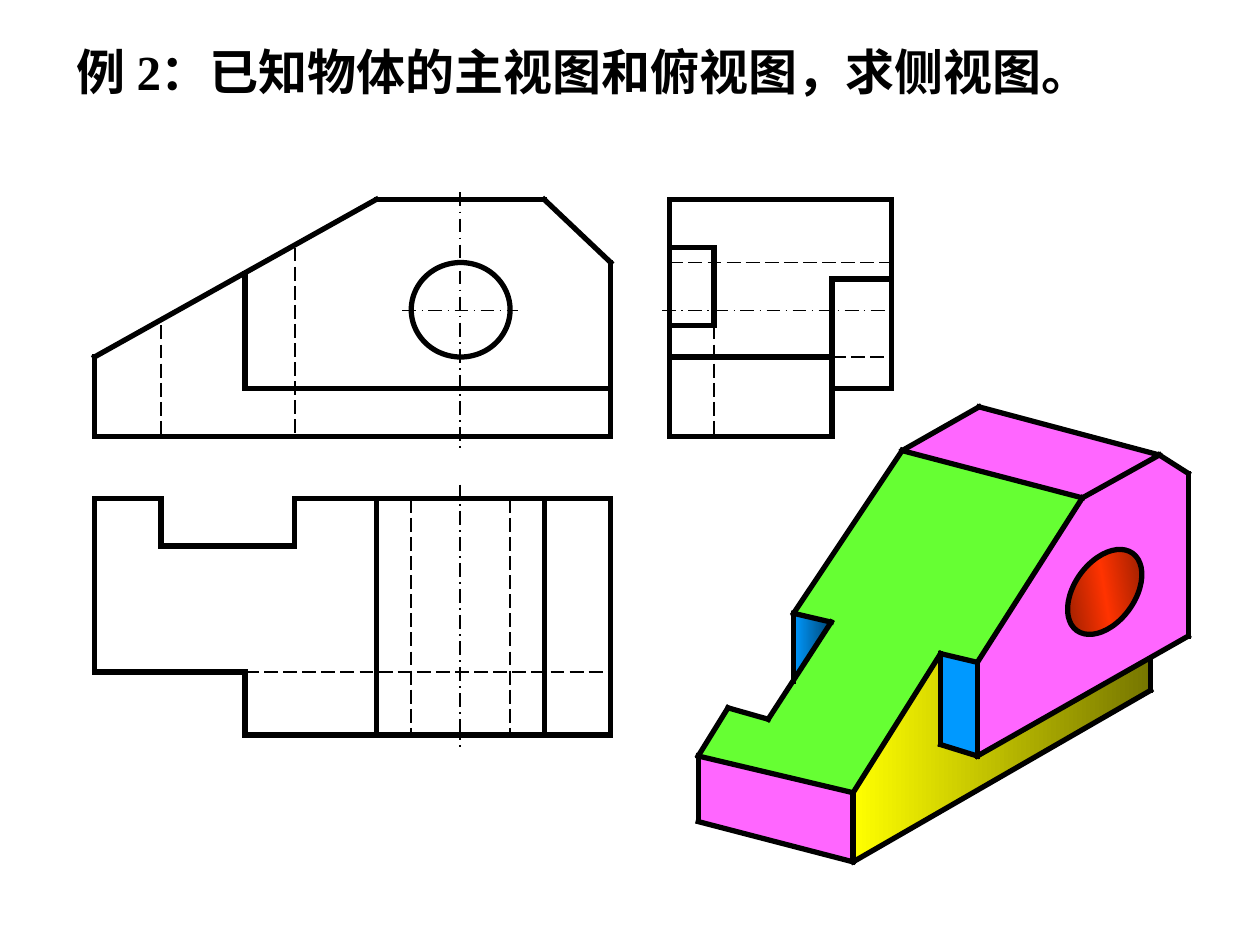
from lxml import etree
from pptx import Presentation
from pptx.dml.color import RGBColor
from pptx.enum import dml, shapes, text
from pptx.oxml import ns
from pptx.util import Pt

BLACK = RGBColor(0x00, 0x00, 0x00)
PINK = RGBColor(0xFF, 0x66, 0xFF)
GREEN = RGBColor(0x66, 0xFF, 0x33)
BLUE = RGBColor(0x00, 0x99, 0xFF)
NAVY = RGBColor(0x00, 0x47, 0x76)
YELLOW = RGBColor(0xFF, 0xFF, 0x00)
OLIVE = RGBColor(0x76, 0x76, 0x00)
RED = RGBColor(0xFF, 0x33, 0x00)
BROWN = RGBColor(0x76, 0x18, 0x00)

HIDDEN = dml.MSO_LINE.LONG_DASH
AXIS = dml.MSO_LINE.LONG_DASH_DOT

# Columns and rows shared by the three projected views
NOTCH, STEP, REAR = 38, 86, 114.5
RIDGE, HOLE, MID, RIM, SLOPE, END = 161, 181, 209, 237.5, 257, 295
CUT, DROP, WALL, CORE, LOW, NOSE, LEDGE, BASE = 27.5, 36, 45.5, 63.5, 72, 90, 108, 135.5
BACK, FRONT, DEEP = 25.5, 93, 127


def pen(line, dash=None):
    """Thick square-ended strokes for edges, thin dashes for the rest."""
    line.color.rgb = BLACK
    line.width = Pt(1 if dash else 3)
    if dash:
        line.dash_style = dash


def draw(parts, box, lines, dash=None):
    """Draw (x1, y1, x2, y2) lines relative to the box's corner."""
    left, top = box
    for x1, y1, x2, y2 in lines:
        edge = parts.add_connector(
            shapes.MSO_CONNECTOR.STRAIGHT,
            Pt(left + x1), Pt(top + y1), Pt(left + x2), Pt(top + y2))
        pen(edge.line, dash)
        props = edge._element.spPr
        if not dash:
            props.find(ns.qn("a:ln")).set("cap", "sq")
        etree.SubElement(props, ns.qn("a:effectLst"))


def ring(parts, box, x, y, wide, high):
    hole = parts.add_shape(shapes.MSO_SHAPE.OVAL, Pt(box[0] + x),
                           Pt(box[1] + y), Pt(wide), Pt(high))
    hole.shadow.inherit = False
    hole.fill.background()
    pen(hole.line)
    return hole


def blend(shape, stops, angle=0):
    """Fill a shape with evenly spaced gradient stops."""
    shape.fill.gradient()
    shape.fill.gradient_angle = angle
    row = shape._element.spPr.find(ns.qn("a:gradFill")).find(ns.qn("a:gsLst"))
    for old in list(row):
        row.remove(old)
    for i, tone in enumerate(stops):
        stop = etree.SubElement(row, ns.qn("a:gs"),
                                pos=str(100000 * i // (len(stops) - 1)))
        etree.SubElement(stop, ns.qn("a:srgbClr"), val=str(tone))


def heading(slide, left, top, wide, high):
    title = slide.shapes.title
    title.left, title.top = Pt(left), Pt(top)
    title.width, title.height = Pt(wide), Pt(high)
    frame = title.text_frame
    frame.text = "例 2：已知物体的主视图和俯视图，求侧视图。"
    frame.word_wrap = False
    frame.auto_size = text.MSO_AUTO_SIZE.NONE
    frame.vertical_anchor = text.MSO_ANCHOR.TOP
    para = frame.paragraphs[0]
    para.alignment = text.PP_ALIGN.LEFT
    font = para.runs[0].font
    font.name, font.size, font.bold = "Times New Roman", Pt(28), True
    font.color.rgb = BLACK


def front_view(parts, box):
    draw(parts, box, [
        (0, BASE, END, BASE), (0, NOSE, 0, BASE), (0, NOSE, RIDGE, 0),
        (RIDGE, 0, SLOPE, 0), (SLOPE, 0, END, DROP), (END, DROP, END, BASE),
        (STEP, 42.5, STEP, LEDGE), (STEP, LEDGE, END, LEDGE)])
    ring(parts, box, HOLE, DROP, RIM - HOLE, NOSE - DROP)
    draw(parts, box, [(REAR, CUT, REAR, BASE), (NOTCH, LOW, NOTCH, BASE)], HIDDEN)
    draw(parts, box, [(MID, -4, MID, 142), (176, CORE, 242, CORE)], AXIS)


def top_view(parts, box):
    inner, step, edge = 27, 99, 135
    draw(parts, box, [
        (0, 0, NOTCH, 0), (NOTCH, 0, NOTCH, inner), (NOTCH, inner, REAR, inner),
        (REAR, 0, REAR, inner), (REAR, 0, END, 0), (0, 0, 0, step),
        (0, step, STEP, step), (STEP, step, STEP, edge), (STEP, edge, END, edge)])
    draw(parts, box, [(x, 0, x, edge) for x in (RIDGE, SLOPE, END)])
    draw(parts, box, [(x, 0, x, edge) for x in (HOLE, RIM)]
         + [(STEP, step, END, step)], HIDDEN)
    draw(parts, box, [(MID, -8, MID, 142)], AXIS)


def side_view(parts, box):
    draw(parts, box, [
        (0, 0, 0, BASE), (0, 0, DEEP, 0), (DEEP, 0, DEEP, LEDGE),
        (FRONT, LEDGE, DEEP, LEDGE), (FRONT, WALL, DEEP, WALL),
        (FRONT, WALL, FRONT, BASE), (0, BASE, FRONT, BASE),
        (0, NOSE, FRONT, NOSE), (0, CUT, BACK, CUT),
        (BACK, CUT, BACK, LOW), (0, LOW, BACK, LOW)])
    draw(parts, box, [(0, DROP, DEEP, DROP), (BACK, LOW, BACK, BASE),
                      (FRONT, NOSE, DEEP, NOSE)], HIDDEN)
    draw(parts, box, [(-4, CORE, 129, CORE)], AXIS)


def solid(parts, box):
    """The body in space: corners are lettered, faces and edges join them."""
    spots = {
        "A": (3, 201), "B": (3, 238.5), "C": (91.5, 222), "D": (91.5, 261.5),
        "E": (20, 173.5), "F": (43, 180), "G": (79, 124.5), "H": (57.5, 119.5),
        "h": (57.5, 158.5), "I": (119.5, 26.5), "J": (163.5, 1.5),
        "K": (266.5, 29), "L": (222.5, 53.5), "M": (283, 39.5),
        "N": (283, 132.5), "P": (162.5, 201), "Q": (162.5, 147.5),
        "R": (141.5, 142.5), "S": (141.5, 194.5), "T": (261.5, 145.5),
        "U": (261.5, 163.5)}
    faces = [("KMNPQL", [PINK]), ("IJKL", [PINK]), ("RSPQ", [BLUE]),
             ("HGh", [BLUE, NAVY]), ("ABDC", [PINK]),
             ("CDUTPSR", [YELLOW, OLIVE]), ("ILQRCAEFGH", [GREEN])]
    edges = ("AB CD Hh RS QP MN AC BD IL LK JK HG RQ SP PN TU UD IJ KM "
             "LQ IH GF FE EA RC").split()
    group = parts.add_group_shape().shapes
    for names, tones in faces:
        spot = [(Pt(box[0] + x), Pt(box[1] + y))
                for x, y in (spots[n] for n in names)]
        pen_path = group.build_freeform(*spot[0])
        pen_path.add_line_segments(spot[1:], close=True)
        face = pen_path.convert_to_shape()
        face.shadow.inherit = False
        face.line.fill.background()
        if len(tones) > 1:
            blend(face, tones)
        else:
            face.fill.solid()
            face.fill.fore_color.rgb = tones[0]
    draw(group, box, [spots[a] + spots[b] for a, b in edges])
    hole = ring(group, box, 218, 80, 34.5, 54.5)
    hole.rotation = 35.9
    blend(hole, [BROWN, RED, BROWN], 45)


def main():
    deck = Presentation()
    deck.slide_width, deck.slide_height = Pt(720), Pt(540)
    slide = deck.slides.add_slide(deck.slide_layouts[5])
    heading(slide, 36.5, 20, 607, 41)
    parts = slide.shapes
    solid(parts, (396, 231))
    front_view(parts, (54, 114))
    top_view(parts, (54, 285))
    side_view(parts, (382.5, 114))
    deck.save("out.pptx")


if __name__ == "__main__":
    main()
